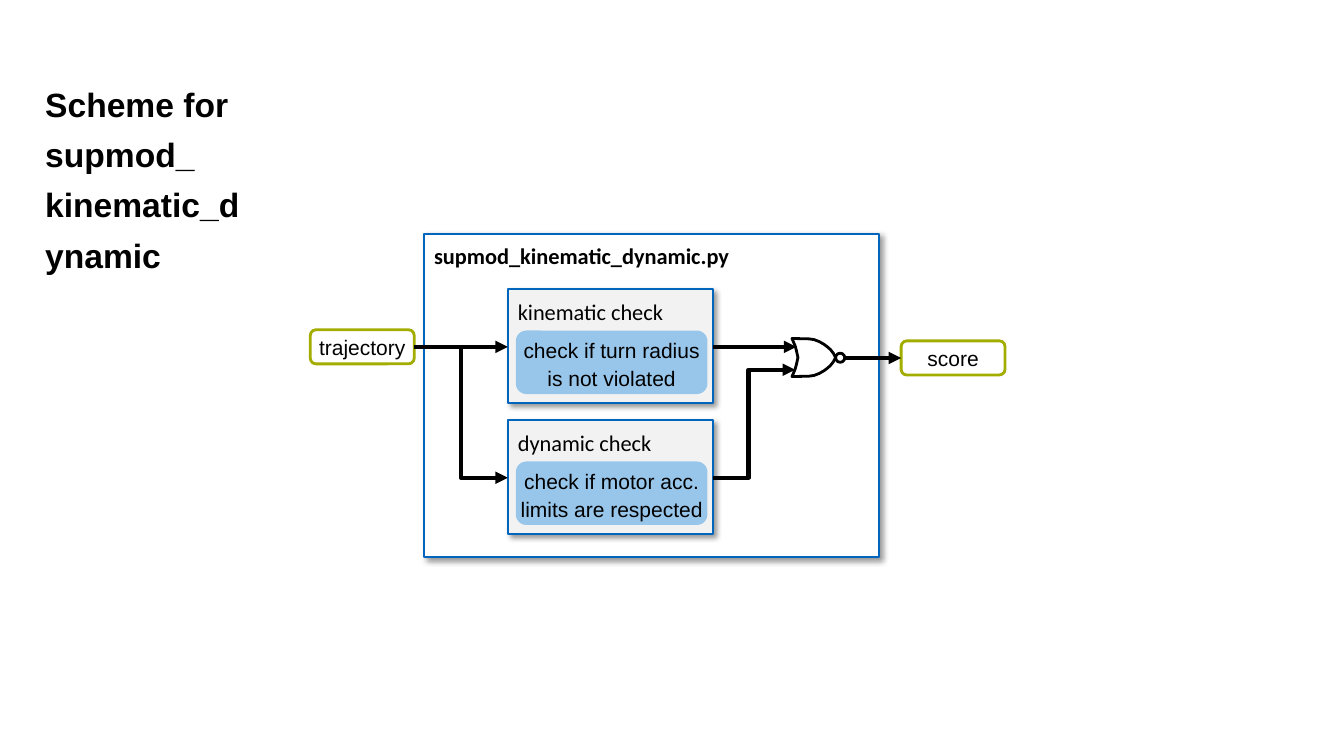
from lxml import etree
from pptx import Presentation
from pptx.dml.color import RGBColor
from pptx.enum.shapes import MSO_CONNECTOR, MSO_SHAPE
from pptx.enum.text import MSO_ANCHOR, PP_ALIGN
from pptx.oxml import parse_xml
from pptx.oxml.ns import qn
from pptx.util import Cm, Pt

SHADOW = """<a:effectLst xmlns:a="http://schemas.openxmlformats.org/drawingml/2006/main">
<a:outerShdw blurRad="50800" dist="38100" dir="2700000" algn="tl" rotWithShape="0">
<a:srgbClr val="000000"><a:alpha val="40000"/></a:srgbClr></a:outerShdw></a:effectLst>"""
BLUE, GREEN, LIGHT_BLUE, GREY = "0065BD", "A2AD00", "98C6EA", "F2F2F2"
BLACK, WHITE = "000000", "FFFFFF"


def style(s, fill, line=None, width=2.0, shadow=False):
    s.shadow.inherit = False
    s.fill.solid()
    s.fill.fore_color.rgb = RGBColor.from_string(fill)
    if line:
        s.line.color.rgb = RGBColor.from_string(line)
        s.line.width = Pt(width)
    else:
        s.line.fill.background()
    if shadow:
        spPr = s._element.spPr
        spPr.replace(spPr.find(qn("a:effectLst")), parse_xml(SHADOW))


def write(s, text, size, font="Arial", bold=False, align=PP_ALIGN.LEFT,
          anchor=MSO_ANCHOR.TOP, spacing=1.14, inset=True):
    tf = s.text_frame
    tf.word_wrap = True
    tf.vertical_anchor = anchor
    if not inset:
        tf.margin_left = tf.margin_right = tf.margin_top = tf.margin_bottom = 0
    p = tf.paragraphs[0]
    p.text = text
    p.alignment = align
    p.line_spacing = spacing
    for r in p.runs:
        r.font.name, r.font.size, r.font.bold = font, Pt(size), bold
        r.font.color.rgb = RGBColor.from_string(BLACK)


prs = Presentation()
prs.slide_width, prs.slide_height = Cm(33.87), Cm(19.05)
shapes = prs.slides.add_slide(prs.slide_layouts[6]).shapes

# Title
title = shapes.add_textbox(Cm(1.14), Cm(1.85), Cm(5.31), Cm(5))
write(title, "Scheme for supmod_\vkinematic_dynamic", 24, bold=True, spacing=1.25, inset=False)

# Module frame
module = shapes.add_shape(MSO_SHAPE.RECTANGLE, Cm(10.69), Cm(5.89), Cm(11.46), Cm(8.15))
style(module, WHITE, BLUE, 1.5, shadow=True)
write(module, "supmod_kinematic_dynamic.py", 16, "Calibri", bold=True)

# Input and output
for text, x, y in [("trajectory", 7.82, 8.31), ("score", 22.71, 8.59)]:
    s = shapes.add_shape(MSO_SHAPE.ROUNDED_RECTANGLE, Cm(x), Cm(y), Cm(2.62), Cm(0.86))
    style(s, WHITE, GREEN)
    write(s, text, 15, align=PP_ALIGN.CENTER, inset=False)

# Checks
checks = [("kinematic check", "check if turn radius is not violated", 7.29),
          ("dynamic check", "check if motor acc. limits are respected", 10.59)]
for name, task, y in checks:
    s = shapes.add_shape(MSO_SHAPE.RECTANGLE, Cm(12.8), Cm(y), Cm(5.16), Cm(2.87))
    style(s, GREY, BLUE, 1.5, shadow=True)
    write(s, name, 16, "Calibri")
    s = shapes.add_shape(MSO_SHAPE.ROUNDED_RECTANGLE, Cm(13), Cm(y + 1.04), Cm(4.83), Cm(1.6))
    style(s, LIGHT_BLUE)
    write(s, task, 15, align=PP_ALIGN.CENTER, anchor=MSO_ANCHOR.MIDDLE, inset=False)

# NOR gate: upper half in hundredths of a cm, mirrored about its axis
upper = [(15, 48), (11, 30), (8, 19), (0, 0), (43, 1), (56, 3), (69, 8),
         (81, 15), (89, 21), (97, 28), (104, 37), (110, 48)]
lower = [(x, 96 - y) for x, y in reversed(upper[1:-1])]
builder = shapes.build_freeform(*upper[0], scale=Cm(0.01))
builder.add_line_segments(upper[1:] + lower, close=True)
gate = builder.convert_to_shape(Cm(19.96), Cm(8.53))
style(gate, WHITE, BLACK)
bubble = shapes.add_shape(MSO_SHAPE.OVAL, Cm(21.06), Cm(8.9), Cm(0.23), Cm(0.23))
style(bubble, WHITE, BLACK)

# Arrows: start, end, position of the bend
arrows = [((10.44, 8.74), (12.8, 8.74), None),
          ((17.96, 8.74), (20.07, 8.74), None),
          ((10.44, 8.74), (12.8, 12.04), 0.5),
          ((17.96, 12.04), (20.04, 9.32), 0.435),
          ((21.29, 9.02), (22.71, 9.02), None)]
for start, end, bend in arrows:
    kind = MSO_CONNECTOR.ELBOW if bend else MSO_CONNECTOR.STRAIGHT
    s = shapes.add_connector(kind, *[Cm(v) for v in start + end])
    s.line.color.rgb = RGBColor.from_string(BLACK)
    s.line.width = Pt(3)
    spPr = s._element.spPr
    etree.SubElement(spPr.find(qn("a:ln")), qn("a:tailEnd"), type="triangle")
    etree.SubElement(spPr, qn("a:effectLst"))
    if bend:
        guides = spPr.find(qn("a:prstGeom")).get_or_add_avLst()
        etree.SubElement(guides, qn("a:gd"), name="adj1", fmla=f"val {round(bend * 100000)}")

prs.save("out.pptx")
